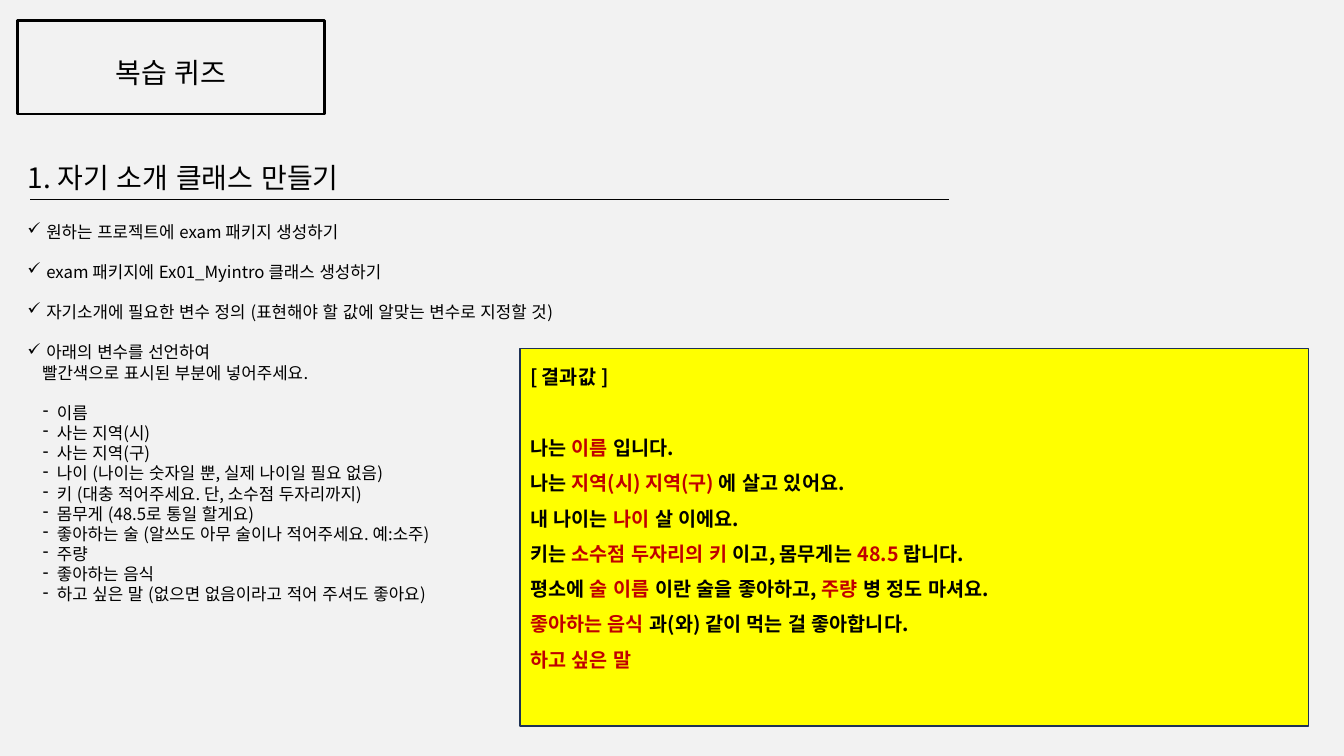
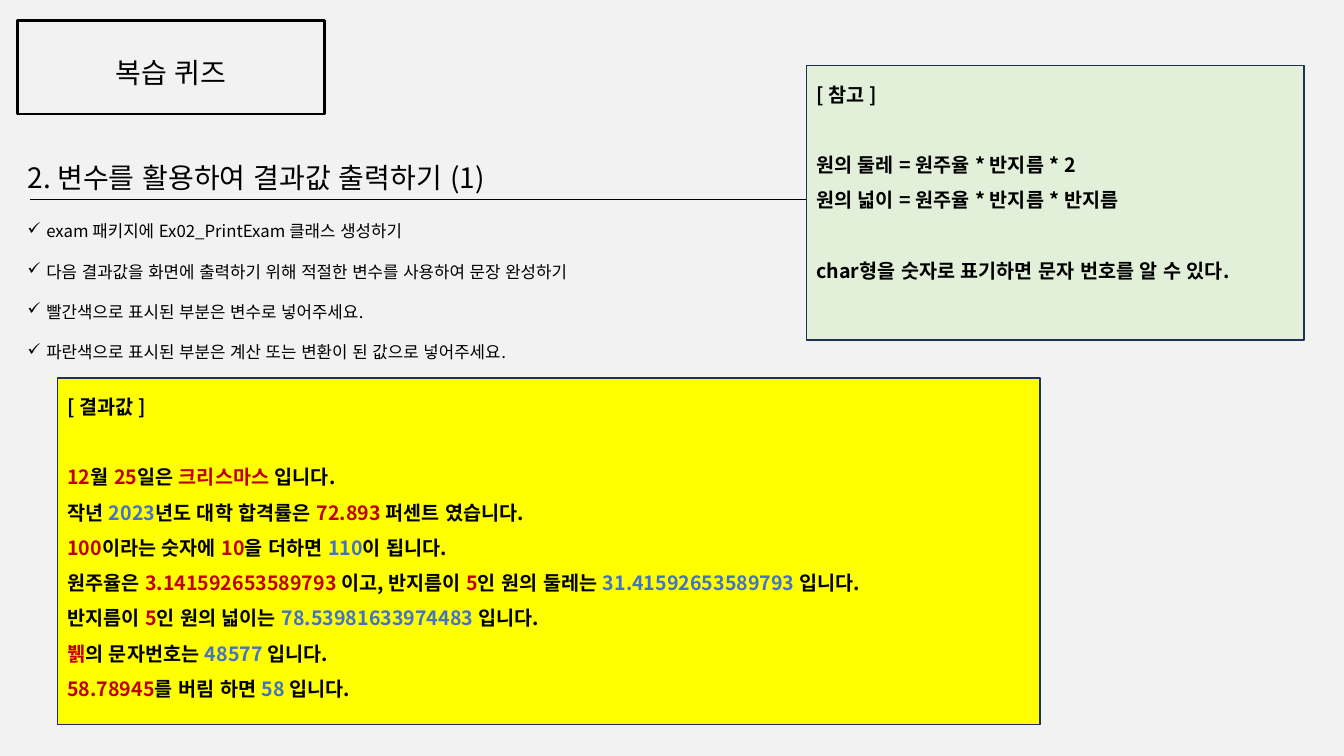
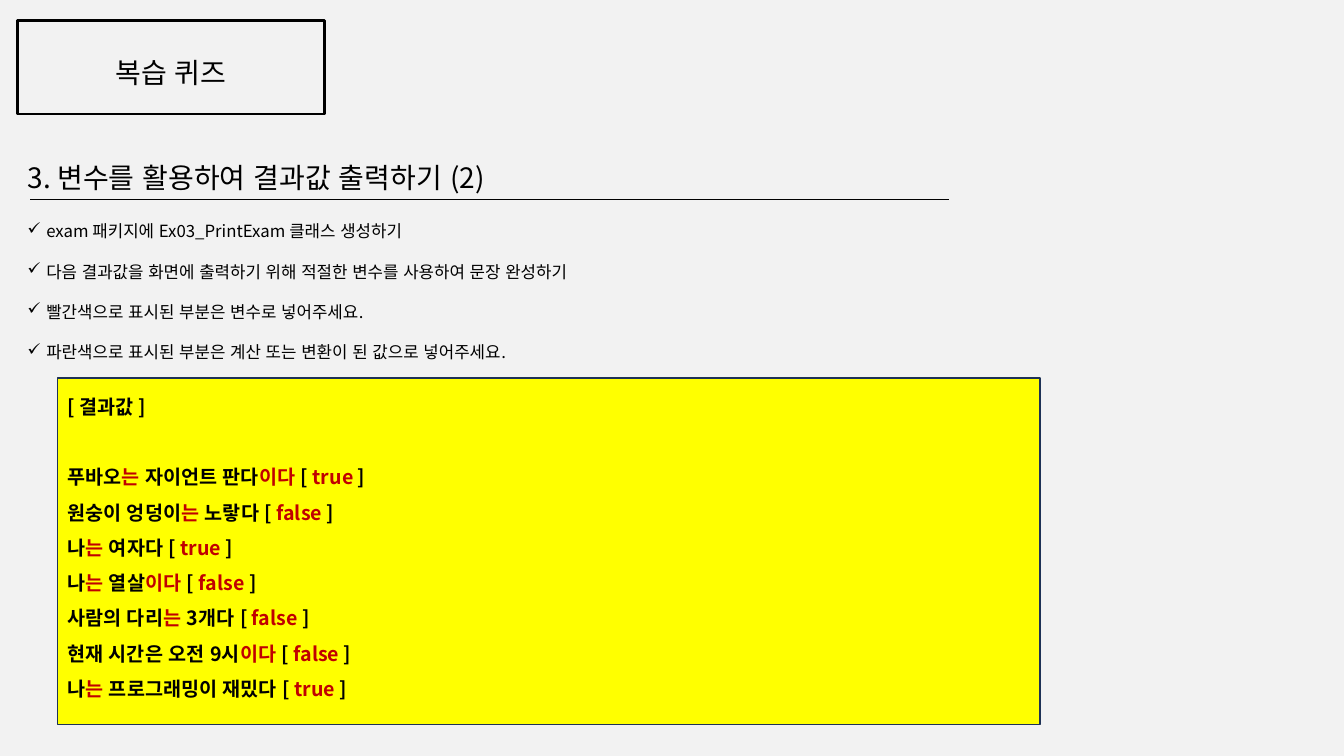
import lxml.etree
import pptx
import pptx.dml.color
import pptx.enum.lang
import pptx.enum.shapes
import pptx.enum.text
import pptx.oxml.ns
import pptx.util

Pt = pptx.util.Pt
qn = pptx.oxml.ns.qn
FONT = "Noto Sans CJK KR"
BLACK, RED, BLUE = "000000", "C00000", "4472C4"
YELLOW, GREEN, NAVY, GRAY = "FFFF00", "E2F0D9", "1E3256", "F2F2F2"
RUN_COLORS = {"^": RED, "~": BLUE}
# Line marker: left margin and first-line indent, in points
MARKERS = {"✓": (13.5, -13.5), "-": (21, -10), ">": (10.5, 0)}
LINE_HEIGHT = 1.2


def color(value):
    return pptx.dml.color.RGBColor.from_string(value)


def write(frame, lines, size, bold=False, spacing=1.0):
    """Fill a frame with lines.

    "|" separates runs, "^" starts a red run and "~" a blue one.
    An empty line adds one line of space after the paragraph before it.
    """
    frame.word_wrap = True
    frame.auto_size = pptx.enum.text.MSO_AUTO_SIZE.NONE
    frame.vertical_anchor = pptx.enum.text.MSO_ANCHOR.TOP
    paragraph = None
    for line in lines:
        if not line:
            paragraph.space_after = Pt(size * LINE_HEIGHT * spacing)
            continue
        paragraph = frame.add_paragraph() if paragraph else frame.paragraphs[0]
        paragraph.alignment = pptx.enum.text.PP_ALIGN.LEFT
        paragraph.line_spacing = spacing
        marker, _, rest = line.partition(" ")
        if marker in MARKERS:
            line = rest
            margin, indent = MARKERS[marker]
            properties = paragraph._p.get_or_add_pPr()
            properties.set("marL", str(Pt(margin)))
            properties.set("indent", str(Pt(indent)))
            if indent:
                bullet = lxml.etree.SubElement(properties, qn("a:buChar"))
                bullet.set("char", marker)
        for part in line.split("|"):
            run = paragraph.add_run()
            run.text = part.lstrip("^~")
            run.font.size = Pt(size)
            run.font.bold = bold
            run.font.color.rgb = color(RUN_COLORS.get(part[0], BLACK))
            run.font.name = FONT
            run.font.language_id = pptx.enum.lang.MSO_LANGUAGE_ID.KOREAN
            east_asian = lxml.etree.SubElement(run.font._element, qn("a:ea"))
            east_asian.set("typeface", FONT)


PRINT_STEPS = [
    "",
    "✓ 다음 결과값을 화면에 출력하기 위해 적절한 변수를 사용하여 문장 완성하기",
    "",
    "✓ 빨간색으로 표시된 부분은 변수로 넣어주세요.",
    "",
    "✓ 파란색으로 표시된 부분은 계산 또는 변환이 된 값으로 넣어주세요.",
]
RESULT_BOX = (41, 270, 702, 247.5)

# Each panel: position and size, fill, lines
quizzes = [
    {
        "title": "1. 자기 소개 클래스 만들기",
        "steps_height": 298,
        "steps": [
            "✓ 원하는 프로젝트에 exam 패키지 생성하기",
            "",
            "✓ exam 패키지에 Ex01_Myintro 클래스 생성하기",
            "",
            "✓ 자기소개에 필요한 변수 정의 (표현해야 할 값에 알맞는 변수로 지정할 것)",
            "",
            "✓ 아래의 변수를 선언하여",
            "> 빨간색으로 표시된 부분에 넣어주세요.",
            "",
            "- 이름",
            "- 사는 지역(시)",
            "- 사는 지역(구)",
            "- 나이 (나이는 숫자일 뿐, 실제 나이일 필요 없음)",
            "- 키 (대충 적어주세요. 단, 소수점 두자리까지)",
            "- 몸무게 (48.5로 통일 할게요)",
            "- 좋아하는 술 (알쓰도 아무 술이나 적어주세요. 예:소주)",
            "- 주량",
            "- 좋아하는 음식",
            "- 하고 싶은 말 (없으면 없음이라고 적어 주셔도 좋아요)",
        ],
        "panels": [
            ((371.5, 249, 563, 269.5), YELLOW, [
                "[ 결과값 ]",
                "",
                "나는 |^이름| 입니다.",
                "나는 |^지역(시) 지역(구) |에 살고 있어요.",
                "내 나이는 |^나이 |살 이에요.",
                "키는 |^소수점 두자리의 키 |이고, 몸무게는 |^48.5 |랍니다.",
                "평소에 |^술 이름 |이란 술을 좋아하고, |^주량 |병 정도 마셔요.",
                "^좋아하는 음식 |과(와) 같이 먹는 걸 좋아합니다.",
                "^하고 싶은 말",
            ]),
        ],
    },
    {
        "title": "2. 변수를 활용하여 결과값 출력하기 (1)",
        "steps_height": 124,
        "steps": ["✓ exam 패키지에 Ex02_PrintExam 클래스 생성하기"] + PRINT_STEPS,
        "panels": [
            (RESULT_BOX, YELLOW, [
                "[ 결과값 ]",
                "",
                "^12|월 |^25|일은 |^크리스마스| 입니다.",
                "작년 |~2023|년도 대학 합격률은 |^72.893 |퍼센트 였습니다.",
                "^100|이라는 숫자에 |^10|을 더하면 |~110|이 됩니다.",
                "원주율은 |^3.141592653589793 |이고, 반지름이 |^5"
                "|인 원의 둘레는 |~31.41592653589793 |입니다.",
                "반지름이 |^5|인 원의 넓이는 |~78.53981633974483 |입니다.",
                "^뷁|의 문자번호는 |~48577 |입니다.",
                "^58.78945|를 버림 하면 |~58 |입니다.",
            ]),
            ((576, 47, 355.5, 196), GREEN, [
                "[ 참고 ]",
                "",
                "원의 둘레 = 원주율 * 반지름 * 2",
                "원의 넓이 = 원주율 * 반지름 * 반지름",
                "",
                "char형을 숫자로 표기하면 문자 번호를 알 수 있다.",
            ]),
        ],
    },
    {
        "title": "3. 변수를 활용하여 결과값 출력하기 (2)",
        "steps_height": 124,
        "steps": ["✓ exam 패키지에 Ex03_PrintExam 클래스 생성하기"] + PRINT_STEPS,
        "panels": [
            (RESULT_BOX, YELLOW, [
                "[ 결과값 ]",
                "",
                "푸바오|^는| 자이언트 판다|^이다| [ |^true| ]",
                "원숭이 엉덩이|^는| 노랗다 [ |^false| ]",
                "나|^는| 여자다 [ |^true| ]",
                "나|^는| 열살|^이다| [ |^false| ]",
                "사람의 다리|^는 |3개다 [ |^false| ]",
                "현재 시간은 오전 9시|^이다| [ |^false| ]",
                "나|^는| 프로그래밍이 재밌다 [ |^true| ]",
            ]),
        ],
    },
]

presentation = pptx.Presentation()
presentation.slide_width = Pt(960)
presentation.slide_height = Pt(540)
background = presentation.slide_master.background.fill
background.solid()
background.fore_color.rgb = color(GRAY)
title_only = presentation.slide_layouts[5]
rectangle = pptx.enum.shapes.MSO_SHAPE.RECTANGLE

for quiz in quizzes:
    slide = presentation.slides.add_slide(title_only)
    shapes = slide.shapes

    badge = shapes.add_shape(rectangle, Pt(12.5), Pt(14.5), Pt(219.5), Pt(67))
    badge.shadow.inherit = False
    badge.fill.background()
    badge.line.color.rgb = color(BLACK)
    badge.line.width = Pt(2)
    write(badge.text_frame, ["복습 퀴즈"], 20)
    badge.text_frame.margin_top = Pt(11.5)
    badge.text_frame.vertical_anchor = pptx.enum.text.MSO_ANCHOR.MIDDLE
    badge.text_frame.paragraphs[0].alignment = pptx.enum.text.PP_ALIGN.CENTER

    title = shapes.title
    title.left, title.top, title.width, title.height = Pt(12.5), Pt(111), Pt(564), Pt(31.5)
    write(title.text_frame, [quiz["title"]], 20)

    steps = shapes.add_textbox(Pt(12.5), Pt(154.5), Pt(680), Pt(quiz["steps_height"]))
    write(steps.text_frame, quiz["steps"], 12)

    rule = shapes.add_connector(
        pptx.enum.shapes.MSO_CONNECTOR.STRAIGHT, Pt(21.5), Pt(142.5), Pt(678), Pt(142.5))
    rule.line.color.rgb = color(BLACK)
    rule.line.width = Pt(1.25)
    lxml.etree.SubElement(rule._element.spPr, qn("a:effectLst"))

    for box, fill, lines in quiz["panels"]:
        panel = shapes.add_shape(rectangle, *map(Pt, box))
        panel.shadow.inherit = False
        panel.fill.solid()
        panel.fill.fore_color.rgb = color(fill)
        panel.line.color.rgb = color(NAVY)
        panel.line.width = Pt(1)
        write(panel.text_frame, lines, 14, bold=True, spacing=1.5)

presentation.save("out.pptx")
